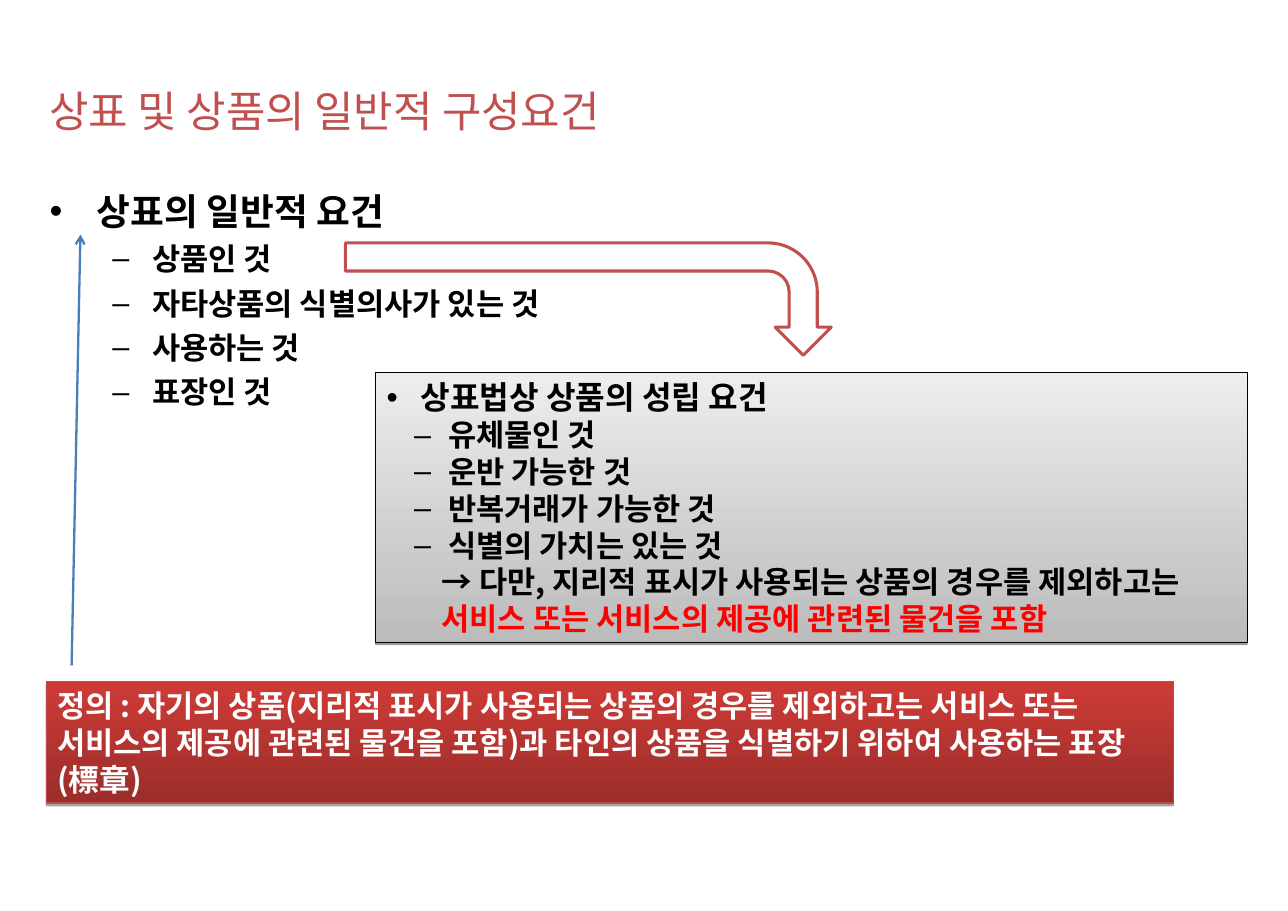
from lxml import etree
from pptx import Presentation
from pptx.dml.color import RGBColor
from pptx.enum import shapes, text
from pptx.oxml import parse_xml
from pptx.oxml.ns import nsdecls, qn
from pptx.util import Inches, Pt

FONT = "Noto Sans CJK KR"
COLORS = {
    "black": "000000", "white": "FFFFFF", "red": "FF0000", "title": "C0504D",
    "gray_dark": "BCBCBC", "gray_light": "EDEDED",
    "red_dark": "9B2D2A", "red_light": "CE3B37", "red_line": "BE4B48",
    "blue": "4A7EBB",
}


def rgb(name):
    return RGBColor.from_string(COLORS[name])


def set_line(line, color, width):
    line.color.rgb = rgb(color)
    line.width = Pt(width)


def write(frame, content, size, color="black", bold=True, bullet=None,
          margin=0, hang=0, before=0):
    """Add a paragraph; content is a string or a list of (text, font, color)."""
    first = frame.paragraphs[0]
    paragraph = first if not first.runs else frame.add_paragraph()
    paragraph.alignment = text.PP_ALIGN.LEFT
    paragraph.space_before = Pt(before)
    properties = paragraph._p.get_or_add_pPr()
    properties.set("marL", str(Inches(margin)))
    properties.set("indent", str(Inches(-hang)))
    if bullet:
        etree.SubElement(properties, qn("a:buFont")).set("typeface", "Arial")
        etree.SubElement(properties, qn("a:buChar")).set("char", bullet)
    paragraph.font.size = Pt(size)
    paragraph.font.bold = bold
    paragraph.font.color.rgb = rgb(color)
    paragraph.font.name = FONT
    etree.SubElement(properties.find(qn("a:defRPr")), qn("a:ea")).set("typeface", FONT)
    if isinstance(content, str):
        paragraph.add_run().text = content
        return
    for words, font, run_color in content:
        run = paragraph.add_run()
        run.text = words
        run.font.name = font
        run.font.color.rgb = rgb(run_color)


def add_text_box(slide, left, top, width, height):
    box = slide.shapes.add_textbox(*map(Inches, (left, top, width, height)))
    frame = box.text_frame
    frame.word_wrap = True
    frame.margin_left = frame.margin_right = Inches(0.11)
    frame.margin_top = frame.margin_bottom = Inches(0.06)
    return frame


def add_panel(slide, left, top, width, height, bottom, upper, line, shadow):
    """Add a rectangle with a vertical gradient; shadow is (opacity, distance)."""
    panel = slide.shapes.add_shape(
        shapes.MSO_SHAPE.RECTANGLE, *map(Inches, (left, top, width, height)))
    panel.fill.gradient()
    panel.fill.gradient_angle = 90
    for stop, color in zip(panel.fill.gradient_stops, (bottom, upper)):
        stop.color.rgb = rgb(color)
    set_line(panel.line, line, 0.75)
    panel.shadow.inherit = False
    opacity, distance = shadow
    panel._element.spPr.find(qn("a:effectLst")).append(parse_xml(
        f'<a:outerShdw {nsdecls("a")} dist="{Pt(distance)}" dir="5400000" rotWithShape="0">'
        f'<a:srgbClr val="{COLORS["black"]}"><a:alpha val="{opacity * 1000}"/></a:srgbClr>'
        '</a:outerShdw>'))
    panel.text_frame.word_wrap = True
    return panel.text_frame


def add_bent_arrow(slide, left, top, width, height):
    arrow = slide.shapes.add_shape(
        shapes.MSO_SHAPE.BENT_ARROW, *map(Inches, (left, top, width, height)))
    arrow.rotation = 90
    arrow.fill.solid()
    arrow.fill.fore_color.rgb = rgb("white")
    set_line(arrow.line, "title", 2)
    arrow.shadow.inherit = False


def add_arrow(slide, x1, y1, x2, y2):
    arrow = slide.shapes.add_connector(
        shapes.MSO_CONNECTOR.STRAIGHT, *map(Inches, (x1, y1, x2, y2)))
    set_line(arrow.line, "blue", 1.5)
    etree.SubElement(arrow.line._get_or_add_ln(), qn("a:tailEnd")).set("type", "arrow")
    etree.SubElement(arrow._element.spPr, qn("a:effectLst"))


def main():
    presentation = Presentation()
    presentation.slide_width = Inches(11.69)
    presentation.slide_height = Inches(8.27)
    slide = presentation.slides.add_slide(presentation.slide_layouts[6])

    title = add_text_box(slide, 0.34, 0.71, 11.02, 0.79)
    write(title, "상표 및 상품의 일반적 구성요건", 28, "title", bold=False)

    mark = add_text_box(slide, 0.34, 1.65, 11.02, 2.68)
    write(mark, "상표의 일반적 요건", 24, bullet="•", margin=0.43, hang=0.43)
    for item in ("상품인 것", "자타상품의 식별의사가 있는 것", "사용하는 것", "표장인 것"):
        write(mark, item, 20, bullet="–", margin=0.93, hang=0.36, before=5)

    goods = add_panel(slide, 3.41, 3.38, 7.91, 2.45,
                      "gray_dark", "gray_light", "black", (38, 1.6))
    write(goods, "상표법상 상품의 성립 요건", 21, bullet="•", margin=0.31, hang=0.31)
    for item in ("유체물인 것", "운반 가능한 것", "반복거래가 가능한 것", "식별의 가치는 있는 것"):
        write(goods, item, 20, bullet="–", margin=0.56, hang=0.31)
    write(goods, [
        ("→ ", "Arial", "black"),
        ("다만, 지리적 표시가 사용되는 상품의 경우를 제외하고는 ", FONT, "black"),
        ("서비스 또는 서비스의 제공에 관련된 물건을 포함", FONT, "red"),
    ], 20, margin=0.5)

    add_bent_arrow(slide, 4.83, 0.51, 1.02, 4.41)

    definition = add_panel(slide, 0.42, 6.19, 10.23, 1.1,
                           "red_dark", "red_light", "red_line", (35, 1.8))
    write(definition, "정의 : 자기의 상품(지리적 표시가 사용되는 상품의 경우를 제외하고는 "
          "서비스 또는 서비스의 제공에 관련된 물건을 포함)과 타인의 상품을 "
          "식별하기 위하여 사용하는 표장(標章)", 20, "white")

    add_arrow(slide, 0.65, 6.04, 0.73, 2.13)
    presentation.save("out.pptx")


if __name__ == "__main__":
    main()
